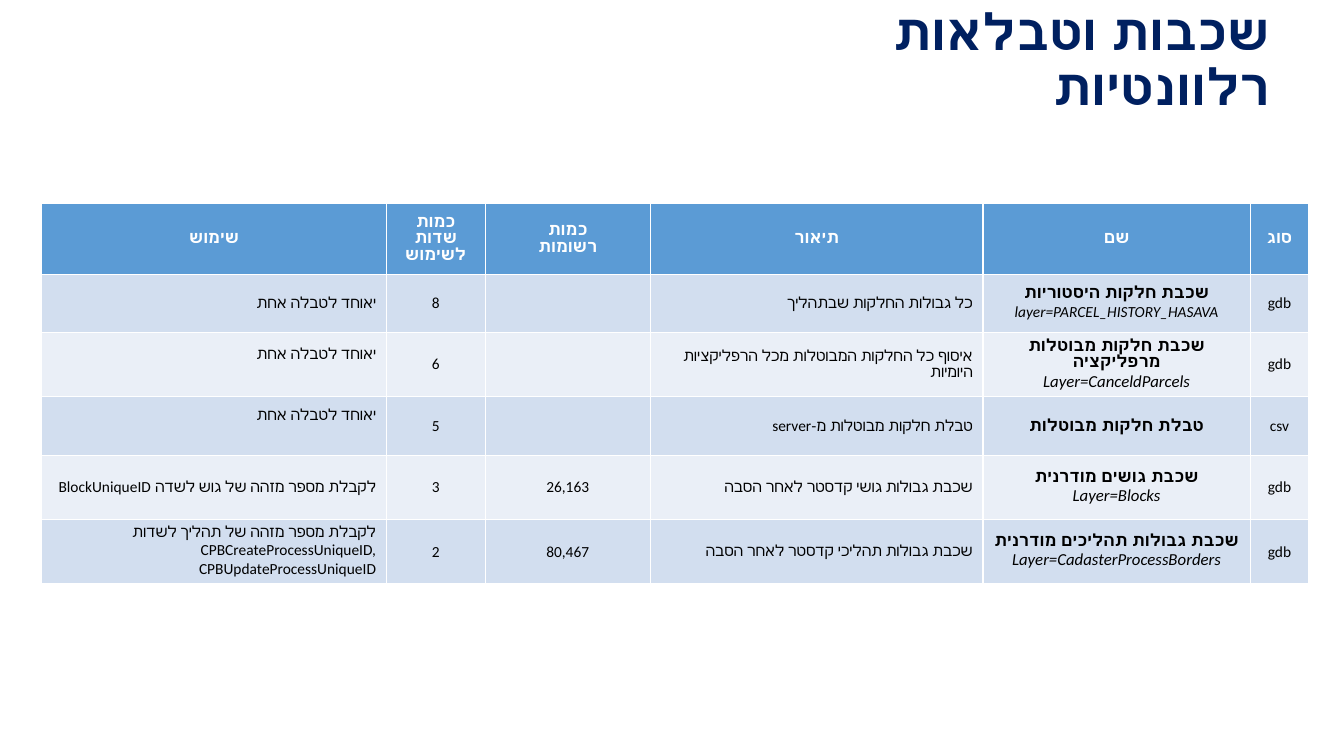
from dataclasses import dataclass

from pptx import Presentation
from pptx.dml.color import RGBColor
from pptx.enum.text import MSO_ANCHOR as Anchor, MSO_AUTO_SIZE as AutoSize, PP_ALIGN as Align
from pptx.util import Inches, Pt

SLIDE_WIDTH, SLIDE_HEIGHT = Inches(13.33), Inches(7.5)

NAVY = RGBColor(0x00, 0x20, 0x60)
BLUE = RGBColor(0x5B, 0x9B, 0xD5)
DARK_BAND = RGBColor(0xD2, 0xDE, 0xEF)
LIGHT_BAND = RGBColor(0xEA, 0xEF, 0xF7)
WHITE = RGBColor(0xFF, 0xFF, 0xFF)
BLACK = RGBColor(0x00, 0x00, 0x00)

# Shares of the slide's width and height, in percent
COLUMN_SHARES = (25.65, 7.35, 12.3, 24.75, 19.88, 4.35)
ROW_SHARES = (9.33, 7.73, 7.73, 7.73, 8.53, 8.53)


@dataclass(frozen=True)
class Style:
    size: float
    color: RGBColor = BLACK
    font: str = "Calibri"
    bold: bool = False
    italic: bool = False


@dataclass(frozen=True)
class Layer:
    usage: str
    fields: str
    records: str
    description: str
    name: str
    query: str
    kind: str
    query_size: float = 12
    usage_lift: float = 0  # extra inches below the usage text


TITLE = Style(36, NAVY, bold=True)
HEADER = Style(12, WHITE, "Cabin", bold=True)
BODY = Style(11)
NAME = Style(12, bold=True)

HEADERS = (
    ("שימוש",),
    ("כמות", "שדות", "לשימוש"),
    ("כמות", "רשומות"),
    ("תיאור",),
    ("שם",),
    ("סוג",),
)
MERGED = "יאוחד לטבלה אחת"
LAYERS = (
    Layer(MERGED, "8", "", "כל גבולות החלקות שבתהליך",
          "שכבת חלקות היסטוריות", "layer=PARCEL_HISTORY_HASAVA", "gdb", query_size=11),
    Layer(MERGED, "6", "", "איסוף כל החלקות המבוטלות מכל הרפליקציות היומיות",
          "שכבת חלקות מבוטלות מרפליקציה", "Layer=CanceldParcels", "gdb", usage_lift=0.2),
    Layer(MERGED, "5", "", "טבלת חלקות מבוטלות מ-server",
          "טבלת חלקות מבוטלות", "", "csv", usage_lift=0.2),
    Layer("לקבלת מספר מזהה של גוש לשדה BlockUniqueID", "3", "26,163",
          "שכבת גבולות גושי קדסטר לאחר הסבה", "שכבת גושים מודרנית", "Layer=Blocks", "gdb"),
    Layer("לקבלת מספר מזהה של תהליך לשדות CPBCreateProcessUniqueID, CPBUpdateProcessUniqueID",
          "2", "80,467", "שכבת גבולות תהליכי קדסטר לאחר הסבה",
          "שכבת גבולות תהליכים מודרנית", "Layer=CadasterProcessBorders", "gdb"),
)


def across(share: float) -> int:
    return round(SLIDE_WIDTH * share / 100)


def down(share: float) -> int:
    return round(SLIDE_HEIGHT * share / 100)


def write(frame, lines: list[tuple[str, Style]], right_to_left: bool = False) -> None:
    """Write one paragraph per line, right-aligned if right to left, else centred."""
    for index, (text, style) in enumerate(lines):
        para = frame.add_paragraph() if index else frame.paragraphs[0]
        para.alignment = Align.RIGHT if right_to_left else Align.CENTER
        if right_to_left:
            para._p.get_or_add_pPr().set("rtl", "1")
        span = para.add_run()
        span.text = text
        font = span.font
        font.name, font.size = style.font, Pt(style.size)
        font.bold, font.italic = style.bold, style.italic
        font.color.rgb = style.color


def fill_cell(cell, color: RGBColor, lines: list[tuple[str, Style]],
              right_to_left: bool = False) -> None:
    cell.fill.solid()
    cell.fill.fore_color.rgb = color
    cell.vertical_anchor = Anchor.MIDDLE
    write(cell.text_frame, [line for line in lines if line[0]], right_to_left)


def add_title(slide) -> None:
    title = slide.shapes.title
    title.left, title.top = across(56.25), down(3.6)
    title.width, title.height = across(39), down(9.07)
    frame = title.text_frame
    frame.word_wrap = True
    frame.auto_size = AutoSize.NONE
    frame.vertical_anchor = Anchor.MIDDLE
    write(frame, [("שכבות וטבלאות רלוונטיות", TITLE)], right_to_left=True)
    frame.paragraphs[0].line_spacing = 0.9


def add_layer_table(slide) -> None:
    table = slide.shapes.add_table(
        len(ROW_SHARES), len(COLUMN_SHARES), across(3.1), down(26.93),
        across(sum(COLUMN_SHARES)), down(sum(ROW_SHARES))).table
    for column, share in zip(table.columns, COLUMN_SHARES):
        column.width = across(share)
    for row, share in zip(table.rows, ROW_SHARES):
        row.height = down(share)

    for column, header in enumerate(HEADERS):
        fill_cell(table.cell(0, column), BLUE, [(line, HEADER) for line in header])

    for row, layer in enumerate(LAYERS, start=1):
        band = DARK_BAND if row % 2 else LIGHT_BAND
        usage, fields, records, description, name, kind = table.rows[row].cells
        fill_cell(usage, band, [(layer.usage, BODY)], right_to_left=True)
        usage.margin_bottom = Inches(0.05 + layer.usage_lift)
        fill_cell(fields, band, [(layer.fields, BODY)])
        fill_cell(records, band, [(layer.records, BODY)])
        fill_cell(description, band, [(layer.description, BODY)], right_to_left=True)
        query_style = Style(layer.query_size, italic=True)
        fill_cell(name, band, [(layer.name, NAME), (layer.query, query_style)])
        fill_cell(kind, band, [(layer.kind, BODY)])


def main() -> None:
    deck = Presentation()
    deck.slide_width, deck.slide_height = SLIDE_WIDTH, SLIDE_HEIGHT
    page = deck.slides.add_slide(deck.slide_layouts.get_by_name("Title Only"))
    add_title(page)
    add_layer_table(page)
    deck.save("out.pptx")


if __name__ == "__main__":
    main()
